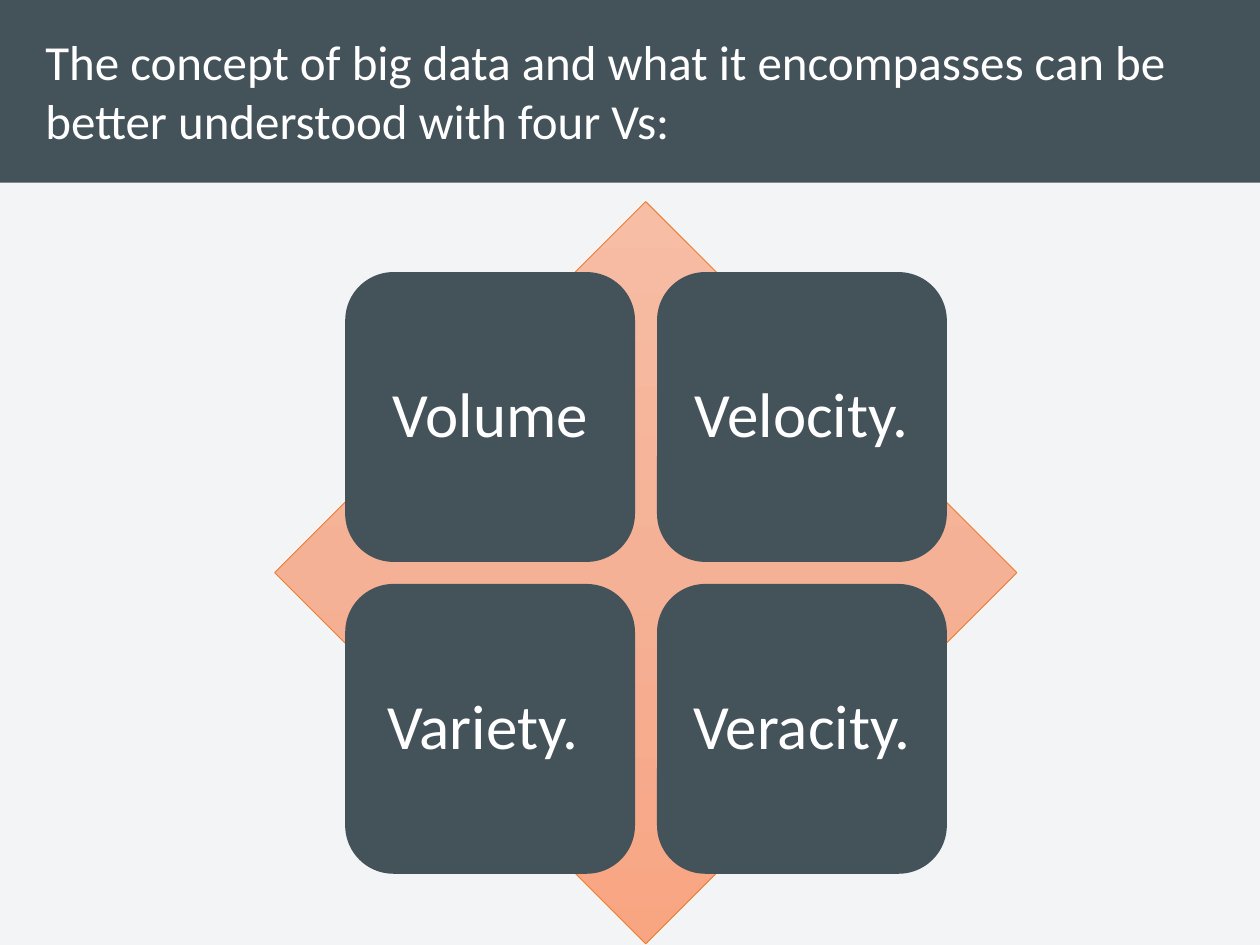
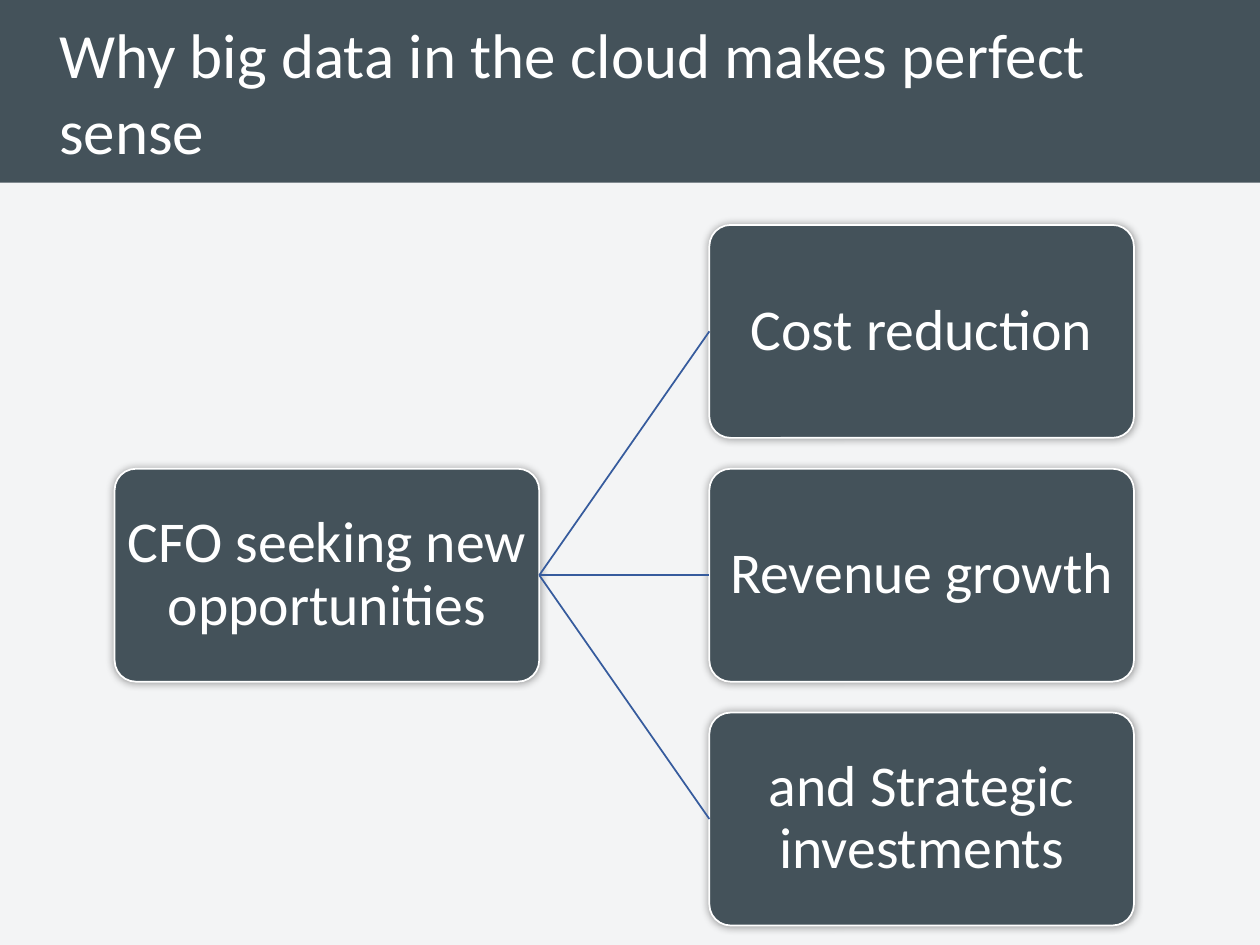
from copy import deepcopy
from dataclasses import dataclass

from lxml.etree import SubElement
from pptx import Presentation
from pptx.dml.color import RGBColor
from pptx.enum.shapes import MSO_CONNECTOR, MSO_SHAPE
from pptx.enum.text import MSO_ANCHOR, MSO_AUTO_SIZE, PP_ALIGN
from pptx.oxml.ns import qn
from pptx.util import Inches, Pt


@dataclass(frozen=True)
class Theme:
    font: str = "Calibri"
    slate: str = "44525A"
    white: str = "FFFFFF"
    background: str = "F3F4F5"
    orange: str = "ED7D31"
    peach: tuple = ("F7BDA5", "F5B196", "F8A582")
    blue: str = "365B9D"
    small_title: int = 28
    large_title: int = 36
    tile_text: int = 36
    box_text: int = 33


THEME = Theme()
RIGHT, LEFT = 3, 1  # connection sites of a rectangle


def rgb(value):
    return RGBColor.from_string(value)


def set_text(sp, text, size, align=PP_ALIGN.LEFT, spacing=1.0, inset=None):
    """Write one paragraph, vertically centred, into a shape or placeholder."""
    tf = sp.text_frame
    tf.word_wrap = True
    tf.auto_size = MSO_AUTO_SIZE.NONE
    tf.vertical_anchor = MSO_ANCHOR.MIDDLE
    if inset is not None:
        tf.margin_left = tf.margin_right = Inches(inset)
        tf.margin_top = tf.margin_bottom = Inches(inset)
    p = tf.paragraphs[0]
    p.alignment = align
    p.line_spacing = spacing
    r = p.add_run()
    r.text = text
    r.font.name = THEME.font
    r.font.size = Pt(size)
    r.font.color.rgb = rgb(THEME.white)


def add_block(slide, kind, x, y, w, h, line=None, width=1):
    """Add a slate preset shape, outlined only if a line colour is given."""
    sp = slide.shapes.add_shape(kind, Inches(x), Inches(y), Inches(w), Inches(h))
    sp.shadow.inherit = False
    sp.fill.solid()
    sp.fill.fore_color.rgb = rgb(THEME.slate)
    if line:
        sp.line.color.rgb = rgb(line)
        sp.line.width = Pt(width)
    else:
        sp.line.fill.background()
    return sp


def add_glow_shadow(sp):
    """Add a soft black shadow that spreads evenly on all sides."""
    effects = sp.element.spPr.find(qn("a:effectLst"))
    shadow = SubElement(effects, qn("a:outerShdw"), blurRad=str(Pt(5)),
                        dist="0", dir="0", rotWithShape="0")
    color = SubElement(shadow, qn("a:srgbClr"), val="000000")
    SubElement(color, qn("a:alpha"), val="40000")


def fill_gradient(sp, colors):
    """Fill from top to bottom with three evenly spaced colours."""
    sp.fill.gradient()
    sp.fill.gradient_angle = 270
    stop_list = sp.element.spPr.find(".//" + qn("a:gsLst"))
    stop_list.insert(1, deepcopy(stop_list[0]))
    for i, (stop, color) in enumerate(zip(sp.fill.gradient_stops, colors)):
        stop.position = i / 2
        stop.color.rgb = rgb(color)


def add_box(slide, text, x, y):
    sp = add_block(slide, MSO_SHAPE.ROUNDED_RECTANGLE, x, y, 3.37, 1.69,
                   line=THEME.white)
    sp.adjustments[0] = 0.1
    add_glow_shadow(sp)
    set_text(sp, text, THEME.box_text, PP_ALIGN.CENTER, spacing=0.9, inset=0.02)
    return sp


def join(slide, start, end):
    c = slide.shapes.add_connector(MSO_CONNECTOR.STRAIGHT, 0, 0, 0, 0)
    c.begin_connect(start, RIGHT)
    c.end_connect(end, LEFT)
    c.line.color.rgb = rgb(THEME.blue)
    c.line.width = Pt(1)
    SubElement(c.element.spPr, qn("a:effectLst"))


def add_slide(prs, title, size, x, y, w, h):
    """Add a slide with the shared band and a title placed on it."""
    slide = prs.slides.add_slide(prs.slide_layouts[5])
    band = add_block(slide, MSO_SHAPE.RECTANGLE, 0, 0, 10, 1.45)
    sp = slide.shapes.title
    sp.element.addprevious(band.element)
    sp.left, sp.top, sp.width, sp.height = map(Inches, (x, y, w, h))
    set_text(sp, title, size)
    return slide


def add_four_vs(prs):
    slide = add_slide(
        prs, "The concept of big data and what it encompasses can be "
        "better understood with four Vs:", THEME.small_title,
        0.26, 0.01, 9.39, 1.42)
    # Diamond behind the tiles
    diamond = add_block(slide, MSO_SHAPE.DIAMOND, 2.18, 1.6, 5.89, 5.89,
                        line=THEME.orange, width=0.5)
    fill_gradient(diamond, THEME.peach)
    # Two by two tiles
    side, pitch = 2.3, 2.475
    for i, word in enumerate(("Volume", "Velocity.", "Variety. ", "Veracity. ")):
        row, col = divmod(i, 2)
        tile = add_block(slide, MSO_SHAPE.ROUNDED_RECTANGLE,
                         2.74 + col * pitch, 2.16 + row * pitch, side, side)
        set_text(tile, word, THEME.tile_text, PP_ALIGN.CENTER,
                 spacing=0.9, inset=0.15)


def add_cloud_reasons(prs):
    slide = add_slide(prs, "Why big data in the cloud makes perfect sense",
                      THEME.large_title, 0.37, 0, 9.17, 1.45)
    # Root box, then its branches centred on it
    middle, pitch = 3.72, 1.935
    root = add_box(slide, "CFO seeking new opportunities", 0.91, middle)
    reasons = ("Cost reduction", "Revenue growth", "and Strategic investments")
    for i, reason in enumerate(reasons):
        box = add_box(slide, reason, 5.63, middle + (i - 1) * pitch)
        join(slide, root, box)


def main():
    prs = Presentation()
    prs.slide_width, prs.slide_height = Inches(10), Inches(7.5)
    # Shared background
    fill = prs.slide_master.background.fill
    fill.solid()
    fill.fore_color.rgb = rgb(THEME.background)

    add_four_vs(prs)
    add_cloud_reasons(prs)
    prs.save("out.pptx")


if __name__ == "__main__":
    main()
